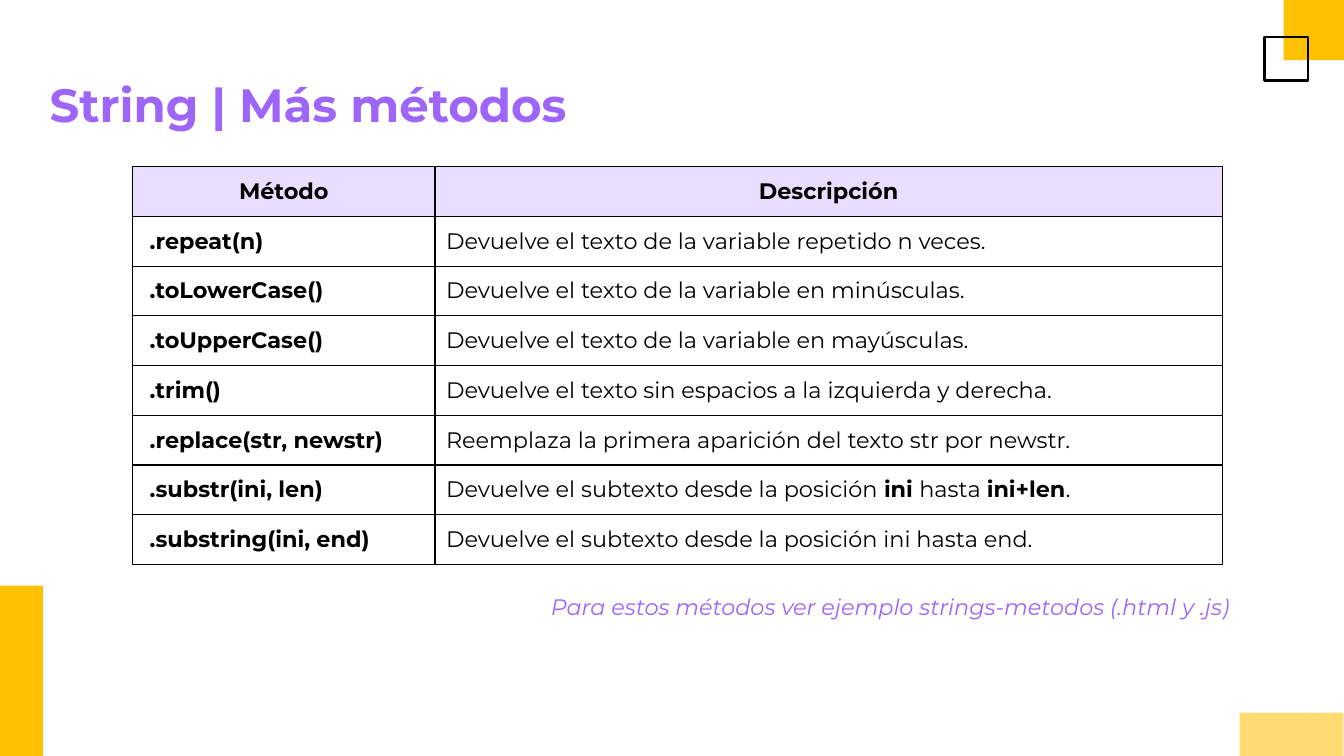
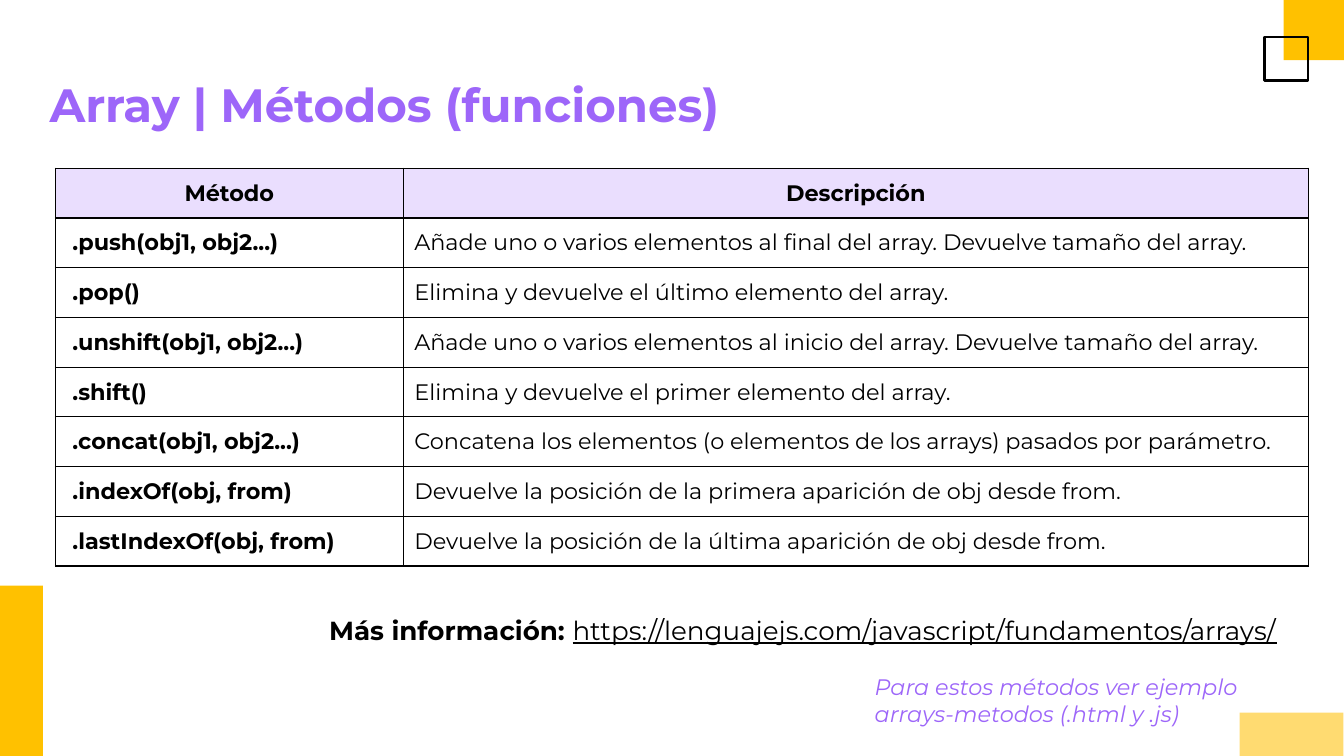
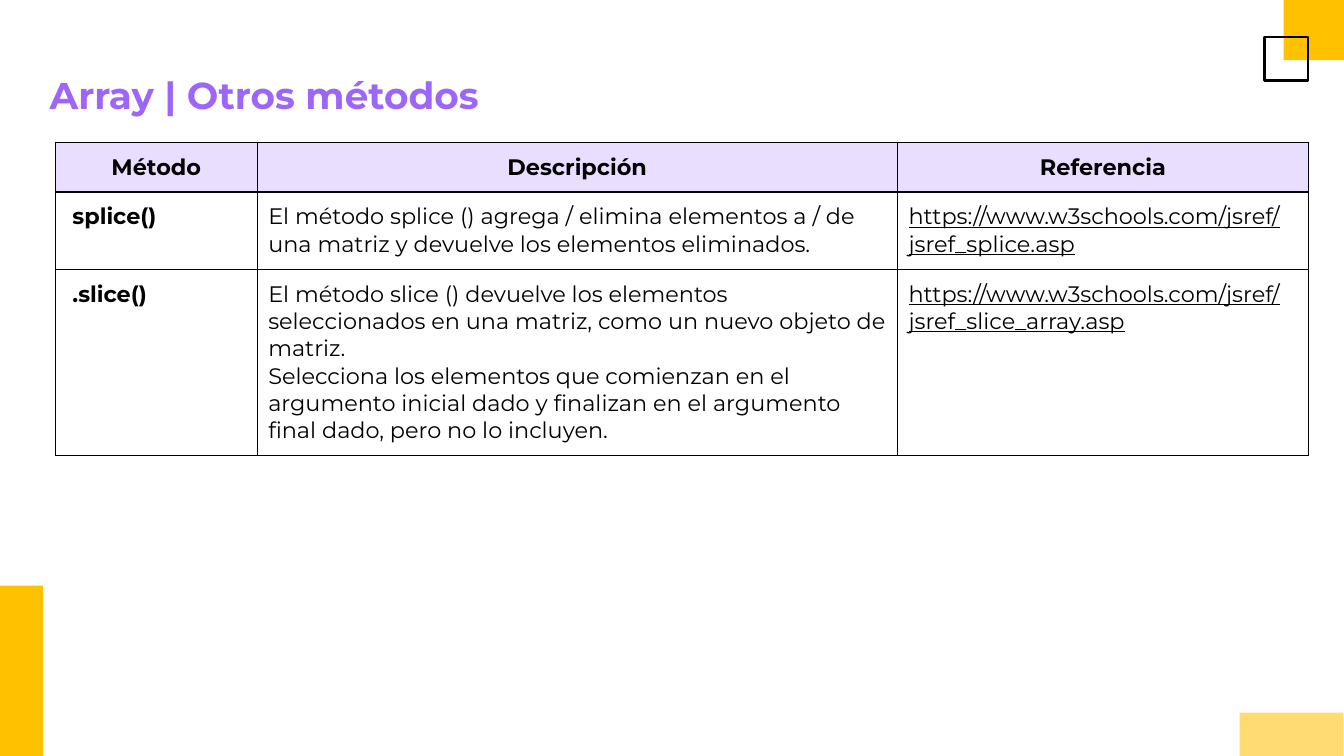
"""Build three slides of JavaScript string and array methods."""
from lxml.etree import SubElement
from pptx import Presentation
from pptx.dml.color import RGBColor
from pptx.enum.shapes import MSO_SHAPE
from pptx.enum.text import PP_ALIGN
from pptx.oxml.ns import qn
from pptx.util import Cm, Pt

PURPLE = RGBColor(0x9D, 0x66, 0xF9)
LILAC = RGBColor(0xEA, 0xDE, 0xFE)
YELLOW = RGBColor(0xFF, 0xC1, 0x00)
PALE_YELLOW = RGBColor(0xFF, 0xDB, 0x71)
BLACK = RGBColor(0x00, 0x00, 0x00)
FONT = "Montserrat"
ROW = 0.94

TITLE = {"bold": True}
NOTE = {"size": Pt(12), "italic": True}

DECORATIONS = [
    (24.26, 0, 1.14, 1.14, YELLOW),
    (0, 11.07, 0.81, 3.22, YELLOW),
    (23.9, 0.7, 0.82, 0.82, None),
    (23.43, 13.47, 1.96, 0.82, PALE_YELLOW),
]

SLIDES = [
    {
        "title": "String | Más métodos", "size": 25, "title_top": 1.19,
        "at": (2.51, 3.15), "cols": [5.71, 14.88], "rows": [ROW] * 8,
        "cells": [
            ("Método", "Descripción"),
            (".repeat(n)", "Devuelve el texto de la variable repetido n veces."),
            (".toLowerCase()", "Devuelve el texto de la variable en minúsculas."),
            (".toUpperCase()", "Devuelve el texto de la variable en mayúsculas."),
            (".trim()", "Devuelve el texto sin espacios a la izquierda y derecha."),
            (".replace(str, newstr)", "Reemplaza la primera aparición del texto str por newstr."),
            (".substr(ini, len)", "Devuelve el subtexto desde la posición **ini **hasta **ini+len**."),
            (".substring(ini, end)", "Devuelve el subtexto desde la posición ini hasta end."),
        ],
        "texts": [
            (10.16, 10.97, 14.1, 0.97, 0.25, PURPLE, NOTE,
             "Para estos métodos ver ejemplo strings-metodos (.html y .js)"),
        ],
    },
    {
        "title": "Array | Métodos (funciones)", "size": 25, "title_top": 1.19,
        "at": (1.05, 3.18), "cols": [6.57, 17.11], "rows": [ROW] * 8,
        "cells": [
            ("Método", "Descripción"),
            (".push(obj1, obj2...)", "Añade uno o varios elementos al final del array. Devuelve tamaño del array."),
            (".pop()", "Elimina y devuelve el último elemento del array."),
            (".unshift(obj1, obj2...)", "Añade uno o varios elementos al inicio del array. Devuelve tamaño del array."),
            (".shift()", "Elimina y devuelve el primer elemento del array."),
            (".concat(obj1, obj2...)", "Concatena los elementos (o elementos de los arrays) pasados por parámetro."),
            (".indexOf(obj, from)", "Devuelve la posición de la primera aparición de obj desde from."),
            (".lastIndexOf(obj, from)", "Devuelve la posición de la última aparición de obj desde from."),
        ],
        "texts": [
            (5.97, 11.48, 19.61, 0.86, 0.13, BLACK, {"size": Pt(14)},
             "**Más información: **https://lenguajejs.com/javascript/fundamentos/arrays/"),
            (16.28, 12.47, 8.13, 1.5, 0.25, PURPLE, NOTE,
             "Para estos métodos ver ejemplo arrays-metodos (.html y .js)"),
        ],
    },
    {
        "title": "Array | Otros métodos", "size": 20, "title_top": 1.12,
        "at": (1.05, 2.69), "cols": [3.81, 12.1, 7.77], "rows": [ROW, 1.46, 3.52],
        "cells": [
            ("Método", "Descripción", "Referencia"),
            ("splice()",
             "El método splice () agrega / elimina elementos a / de una matriz y devuelve los elementos eliminados.",
             "https://www.w3schools.com/jsref/jsref_splice.asp"),
            (".slice()",
             "El método slice () devuelve los elementos seleccionados en una matriz, como un nuevo objeto de matriz.\n"
             "Selecciona los elementos que comienzan en el argumento inicial dado y finalizan en el argumento final "
             "dado, pero no lo incluyen.",
             "https://www.w3schools.com/jsref/jsref_slice_array.asp"),
        ],
        "texts": [],
    },
]


def write(tf, text, color, fmt, align=PP_ALIGN.LEFT):
    """Fill a frame; ** toggles bold and web addresses are underlined."""
    for n, line in enumerate(text.split("\n")):
        p = tf.add_paragraph() if n else tf.paragraphs[0]
        p.alignment = align
        for i, part in enumerate(line.split("**")):
            if not part:
                continue
            r = p.add_run()
            r.text = part
            look = {"name": FONT, "bold": i % 2 == 1, "underline": part.startswith("https")}
            for key, value in (look | fmt).items():
                setattr(r.font, key, value)
            r.font.color.rgb = color


def add_text(s, left, top, width, height, inset, color, fmt, text):
    """Add a wrapped text box."""
    tf = s.shapes.add_textbox(Cm(left), Cm(top), Cm(width), Cm(height)).text_frame
    frame = {"word_wrap": True, "margin_left": Cm(0.25), "margin_right": Cm(0.25),
             "margin_top": Cm(inset), "margin_bottom": Cm(inset)}
    for key, value in frame.items():
        setattr(tf, key, value)
    write(tf, text, color, fmt)


prs = Presentation()
prs.slide_width, prs.slide_height = Cm(25.4), Cm(14.29)

for data in SLIDES:
    s = prs.slides.add_slide(prs.slide_layouts[6])

    for left, top, width, height, color in DECORATIONS:
        sp = s.shapes.add_shape(MSO_SHAPE.RECTANGLE, Cm(left), Cm(top), Cm(width), Cm(height))
        sp.shadow.inherit = False
        if color is None:
            sp.fill.background()
            sp.line.color.rgb = BLACK
            sp.line.width = Pt(1.5)
        else:
            sp.fill.solid()
            sp.fill.fore_color.rgb = color
            sp.line.fill.background()

    add_text(s, 0.69, data["title_top"], 24.05, 1.6, 0.25, PURPLE,
             TITLE | {"size": Pt(data["size"])}, data["title"])

    cols, rows = data["cols"], data["rows"]
    left, top = data["at"]
    table = s.shapes.add_table(len(rows), len(cols), Cm(left), Cm(top),
                               Cm(sum(cols)), Cm(sum(rows))).table
    table.first_row = table.horz_banding = False
    for column, width in zip(table.columns, cols):
        column.width = Cm(width)
    for row, height in zip(table.rows, rows):
        row.height = Cm(height)

    for y, values in enumerate(data["cells"]):
        for x, text in enumerate(values):
            cell = table.cell(y, x)
            method = y > 0 and x == 0
            margins = {"margin_left": Cm(0.32 if method else 0.21), "margin_right": Cm(0.21),
                       "margin_top": Cm(0.21), "margin_bottom": Cm(0.21)}
            for key, value in margins.items():
                setattr(cell, key, value)
            tcPr = cell._tc.get_or_add_tcPr()
            for side in ("lnL", "lnR", "lnT", "lnB"):
                ln = SubElement(tcPr, qn(f"a:{side}"), w=str(Pt(0.75)))
                SubElement(SubElement(ln, qn("a:solidFill")), qn("a:srgbClr"), val=str(BLACK))
            if y == 0:
                cell.fill.solid()
                cell.fill.fore_color.rgb = LILAC
            else:
                cell.fill.background()
            fmt = {"size": Pt(12)}
            if y == 0 or method:
                fmt["bold"] = True
            write(cell.text_frame, text, BLACK, fmt, PP_ALIGN.LEFT if y else PP_ALIGN.CENTER)

    for item in data["texts"]:
        add_text(s, *item)

prs.save("out.pptx")
